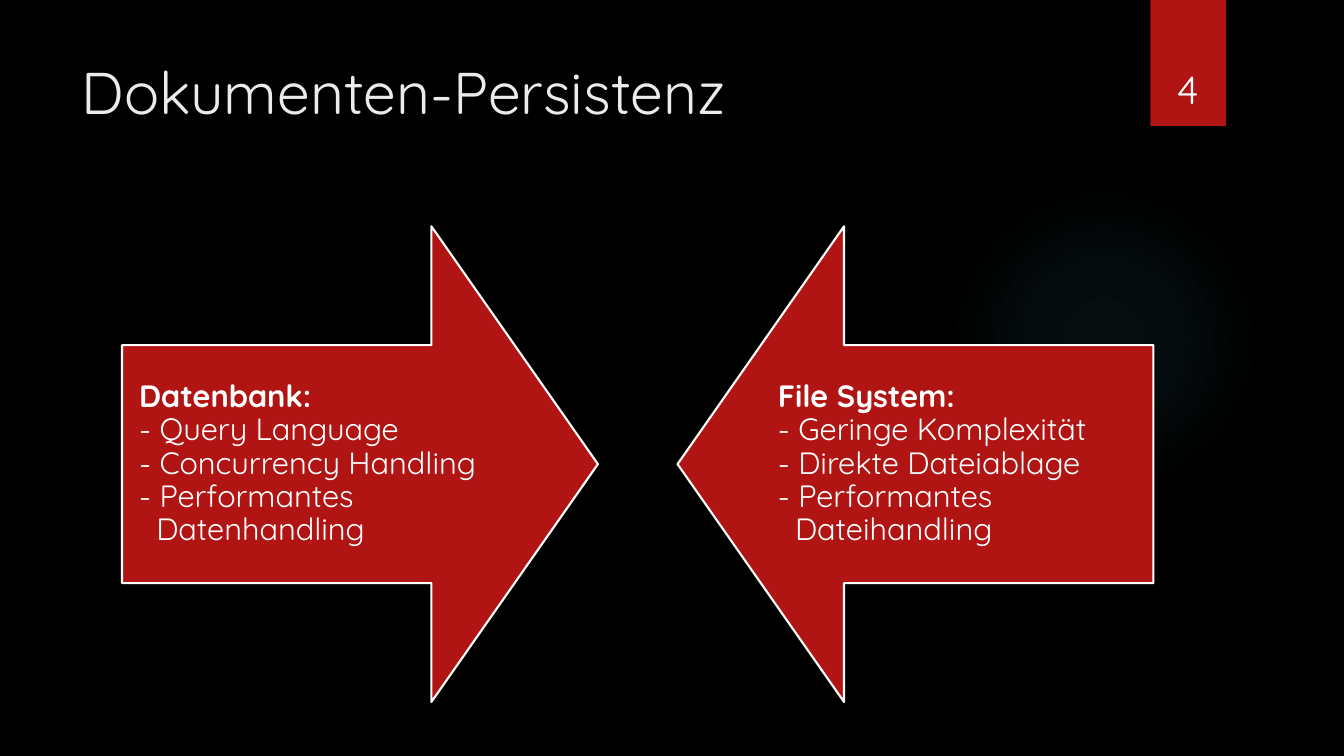
from lxml.etree import SubElement
from pptx import Presentation
from pptx.dml.color import RGBColor
from pptx.enum.shapes import MSO_SHAPE as Shape
from pptx.enum.text import MSO_ANCHOR as Anchor, PP_ALIGN as Align
from pptx.oxml import parse_xml
from pptx.oxml.ns import nsdecls, qn
from pptx.util import Inches, Pt

TITLE = "Dokumenten-Persistenz"
PAGE_NUMBER = "4"
ARROWS = [
    {
        "shape": Shape.RIGHT_ARROW, "left": 9.08, "text_side": 0,
        "heading": "Datenbank:",
        "points": [["- Query Language"], ["- Concurrency Handling"],
                   ["- Performantes", "Datenhandling"]],
    },
    {
        "shape": Shape.LEFT_ARROW, "left": 50.41, "text_side": 1,
        "heading": "File System:",
        "points": [["- Geringe Komplexität"], ["- Direkte Dateiablage"],
                   ["- Performantes", "Dateihandling"]],
    },
]

COLORS = {"background": "000000", "red": "B01513", "white": "FFFFFF",
          "title": "EBEBEB", "glow": "50B9C1", "shadow": "000000"}
FONT = "Quicksand"
SLIDE_WIDTH, SLIDE_HEIGHT = 13.33, 7.5
GLOW_STOPS = [(0, 7), (36, 6), (69, 0)]

GLOW_AREA = (70.59, 24.4, 23.11, 41.07)
TAG_AREA = (85.6, 0, 5.63, 16.67)
TITLE_AREA = (5.33, 6.67, 77.19, 20.4)
NUMBER_AREA = (84.92, 4.27, 6.9, 11.2)
ARROW_TOP, ARROW_WIDTH, ARROW_HEIGHT = 29.93, 35.41, 62.93
SHAFT, HEAD = 0.5, 0.35
TEXT_WIDTH = ARROW_WIDTH * (1 - HEAD / 2)
INSET = Inches(0.17)


def color(name):
    return RGBColor.from_string(COLORS[name])


def place(area):
    left, top, width, height = (share / 100 for share in area)
    return (Inches(left * SLIDE_WIDTH), Inches(top * SLIDE_HEIGHT),
            Inches(width * SLIDE_WIDTH), Inches(height * SLIDE_HEIGHT))


def add_filled(page, kind, area, outlined=False):
    shape = page.shapes.add_shape(kind, *place(area))
    shape.shadow.inherit = False
    shape.fill.solid()
    shape.fill.fore_color.rgb = color("red")
    if outlined:
        shape.line.color.rgb = color("white")
        shape.line.width = Pt(1.5)
    else:
        shape.line.fill.background()
    return shape


def add_box(page, area, anchor):
    box = page.shapes.add_textbox(*place(area))
    box.text_frame.word_wrap = True
    box.text_frame.vertical_anchor = anchor
    return box.text_frame


def add_span(para, text, size, tone, bold=False):
    span = para.add_run()
    span.text = text
    span.font.name = FONT
    span.font.size = Pt(size)
    span.font.bold = bold
    span.font.color.rgb = color(tone)


def add_glow(page):
    glow = add_filled(page, Shape.OVAL, GLOW_AREA)
    stops = "".join(
        f'<a:gs pos="{pos * 1000}"><a:srgbClr val="{COLORS["glow"]}">'
        f'<a:alpha val="{alpha * 1000}"/></a:srgbClr></a:gs>'
        for pos, alpha in GLOW_STOPS)
    gradient = parse_xml(
        f'<a:gradFill {nsdecls("a")}><a:gsLst>{stops}</a:gsLst>'
        '<a:path path="circle"><a:fillToRect l="50000" t="50000" '
        'r="50000" b="50000"/></a:path></a:gradFill>')
    properties = glow.element.spPr
    properties.replace(properties.find(qn("a:solidFill")), gradient)


def add_tag(page):
    tag = add_filled(page, Shape.RECTANGLE, TAG_AREA)
    effects = tag.element.spPr.find(qn("a:effectLst"))
    shadow = SubElement(effects, qn("a:outerShdw"), blurRad=str(Pt(3)),
                        dist=str(Pt(2)), dir="5400000", rotWithShape="0")
    tint = SubElement(shadow, qn("a:srgbClr"), val=COLORS["shadow"])
    SubElement(tint, qn("a:alpha"), val="45000")


def add_arrow(page, arrow):
    area = (arrow["left"], ARROW_TOP, ARROW_WIDTH, ARROW_HEIGHT)
    shape = add_filled(page, arrow["shape"], area, outlined=True)
    shape.adjustments[0] = SHAFT
    shape.adjustments[1] = HEAD

    text_left = arrow["left"] + arrow["text_side"] * (ARROW_WIDTH - TEXT_WIDTH)
    text_top = ARROW_TOP + ARROW_HEIGHT * (1 - SHAFT) / 2
    frame = add_box(page, (text_left, text_top, TEXT_WIDTH,
                           ARROW_HEIGHT * SHAFT), Anchor.MIDDLE)
    frame.margin_left = frame.margin_right = INSET
    frame.margin_top = frame.margin_bottom = INSET

    for index, lines in enumerate([[arrow["heading"]]] + arrow["points"]):
        para = frame.paragraphs[0] if index == 0 else frame.add_paragraph()
        para.line_spacing = 0.9
        if index:
            layout = para._p.get_or_add_pPr()
            layout.set("marL", str(INSET))
            layout.set("indent", str(-INSET))
        for number, line in enumerate(lines):
            if number:
                para.add_line_break()
            add_span(para, line, 22, "white", bold=index == 0)


def main():
    deck = Presentation()
    deck.slide_width = Inches(SLIDE_WIDTH)
    deck.slide_height = Inches(SLIDE_HEIGHT)
    page = deck.slides.add_slide(deck.slide_layouts[6])
    page.background.fill.solid()
    page.background.fill.fore_color.rgb = color("background")

    add_glow(page)
    add_tag(page)
    title = add_box(page, TITLE_AREA, Anchor.TOP)
    add_span(title.paragraphs[0], TITLE, 42, "title")
    for arrow in ARROWS:
        add_arrow(page, arrow)
    number = add_box(page, NUMBER_AREA, Anchor.BOTTOM)
    number.paragraphs[0].alignment = Align.CENTER
    add_span(number.paragraphs[0], PAGE_NUMBER, 28, "white")

    deck.save("out.pptx")


if __name__ == "__main__":
    main()
